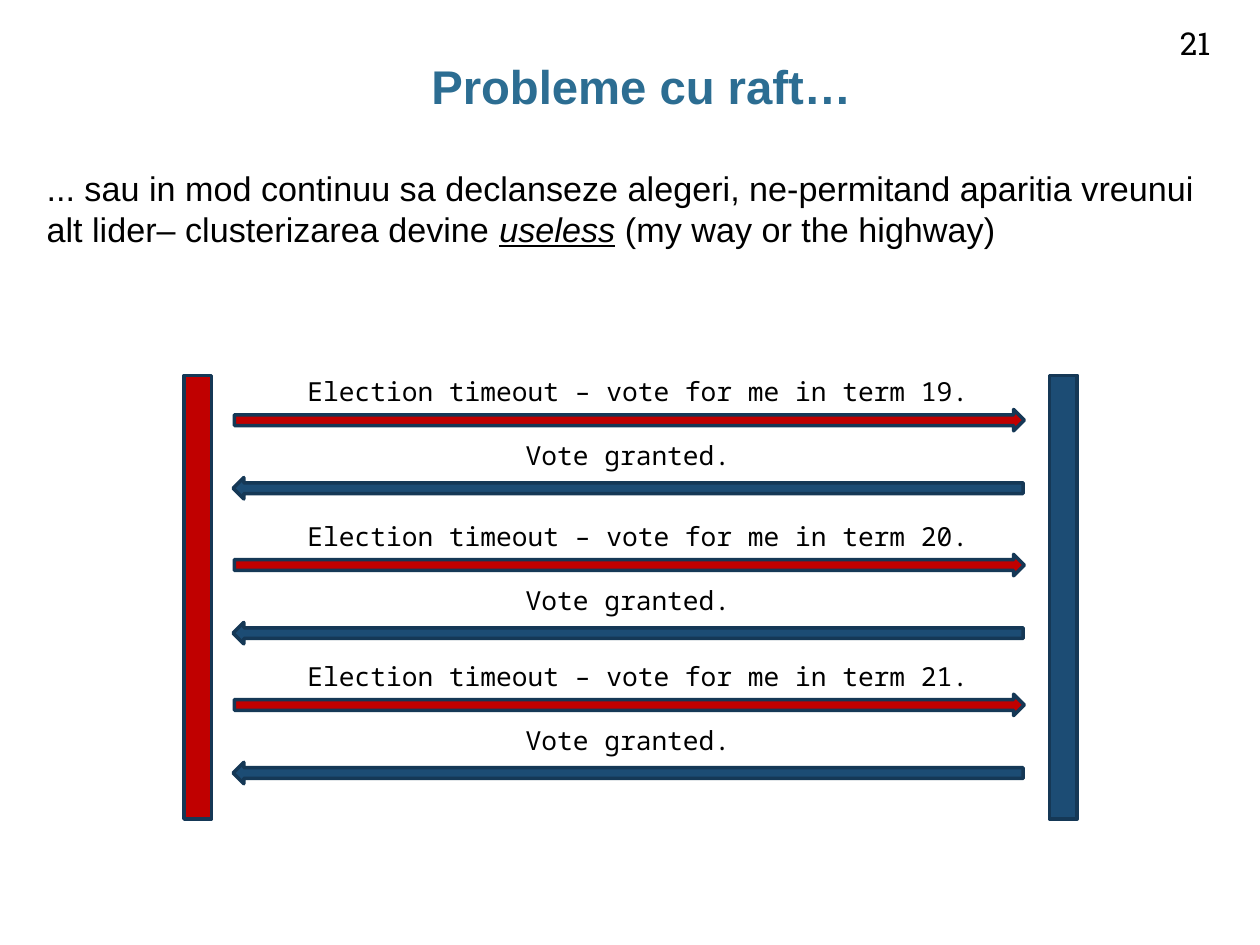
import pptx
import pptx.util
import pptx.dml.color
import pptx.enum.shapes
import pptx.enum.text

COLORS = {
    "title": "2C6D92",
    "text": "000000",
    "candidate": "C00000",
    "follower": "1C4C74",
    "outline": "153856",
}
SHAPES = pptx.enum.shapes.MSO_SHAPE
ALIGN = pptx.enum.text.PP_ALIGN
ANCHOR = pptx.enum.text.MSO_ANCHOR
FIT = pptx.enum.text.MSO_AUTO_SIZE


def color(name):
    return pptx.dml.color.RGBColor.from_string(COLORS[name])


class SlideBuilder:
    columns, rows = 100, 75
    title = {"name": "Arial", "size": pptx.util.Pt(27), "bold": True}
    body = {"name": "Arial", "size": pptx.util.Pt(19.5)}
    number = {"name": "Roboto Slab", "size": pptx.util.Pt(18)}
    message = {"name": "Noto Sans Mono", "size": pptx.util.Pt(15)}

    def __init__(self, presentation):
        self.slide = presentation.slides.add_slide(presentation.slide_layouts[6])
        self.column = presentation.slide_width / self.columns
        self.row = presentation.slide_height / self.rows

    def place(self, left, top, width, height):
        return (round(left * self.column), round(top * self.row),
                round(width * self.column), round(height * self.row))

    def text(self, area, runs, font, ink="text", paragraph_format=None, frame_format=None):
        frame = self.slide.shapes.add_textbox(*self.place(*area)).text_frame
        for name, value in {"word_wrap": True, **(frame_format or {})}.items():
            setattr(frame, name, value)
        paragraph = frame.paragraphs[0]
        for name, value in (paragraph_format or {}).items():
            setattr(paragraph, name, value)
        for words, emphasis in runs:
            run = paragraph.add_run()
            run.text = words
            for name, value in {**font, **emphasis}.items():
                setattr(run.font, name, value)
            run.font.color.rgb = color(ink)

    def block(self, kind, area, fill, rotation=0):
        shape = self.slide.shapes.add_shape(kind, *self.place(*area))
        shape.shadow.inherit = False
        shape.rotation = rotation
        shape.fill.solid()
        shape.fill.fore_color.rgb = color(fill)
        shape.line.color.rgb = color("outline")
        shape.line.width = pptx.util.Pt(2)

    def label(self, area, words):
        self.text(area, [(words, {})], self.message,
                  paragraph_format={"alignment": ALIGN.CENTER},
                  frame_format={"auto_size": FIT.SHAPE_TO_FIT_TEXT})

    def election(self, top, term):
        width, arrow, line = 62.7, 1.7, 3.5
        self.block(SHAPES.RIGHT_ARROW, (18.6, top + 3.2, width, arrow), "candidate")
        self.block(SHAPES.RIGHT_ARROW, (18.5, top + 8.6, width, arrow), "follower", 180)
        self.label((18.5, top + 5.1, width, line), "Vote granted.")
        self.label((19.3, top, width, line), f"Election timeout – vote for me in term {term}.")


def main():
    presentation = pptx.Presentation()
    presentation.slide_width = pptx.util.Inches(10)
    presentation.slide_height = pptx.util.Inches(7.5)
    builder = SlideBuilder(presentation)

    inset = pptx.util.Inches(0.1)
    builder.text((3.7, 3.9, 94.4, 7.9), [("Probleme cu raft…", {})], builder.title, "title",
                 {"alignment": ALIGN.CENTER, "line_spacing": 0.95},
                 {"margin_top": inset, "margin_bottom": inset})
    builder.text((91.6, 1.4, 6.5, 4), [("21", {})], builder.number,
                 paragraph_format={"alignment": ALIGN.CENTER},
                 frame_format={"vertical_anchor": ANCHOR.BOTTOM})
    builder.text((3.7, 12.8, 94.4, 47.7), [
        ("... sau in mod continuu sa declanseze alegeri, ne-permitand aparitia vreunui "
         "alt lider– clusterizarea devine ", {}),
        ("useless", {"italic": True, "underline": True}),
        (" (my way or the highway)", {}),
    ], builder.body, frame_format={"margin_left": 0, "margin_right": 0})

    for left, fill in ((14.6, "candidate"), (83.3, "follower")):
        builder.block(SHAPES.RECTANGLE, (left, 29.8, 2.2, 35.2), fill)
    for term, top in enumerate((29.3, 40.8, 51.9), start=19):
        builder.election(top, term)

    presentation.save("out.pptx")


if __name__ == "__main__":
    main()
